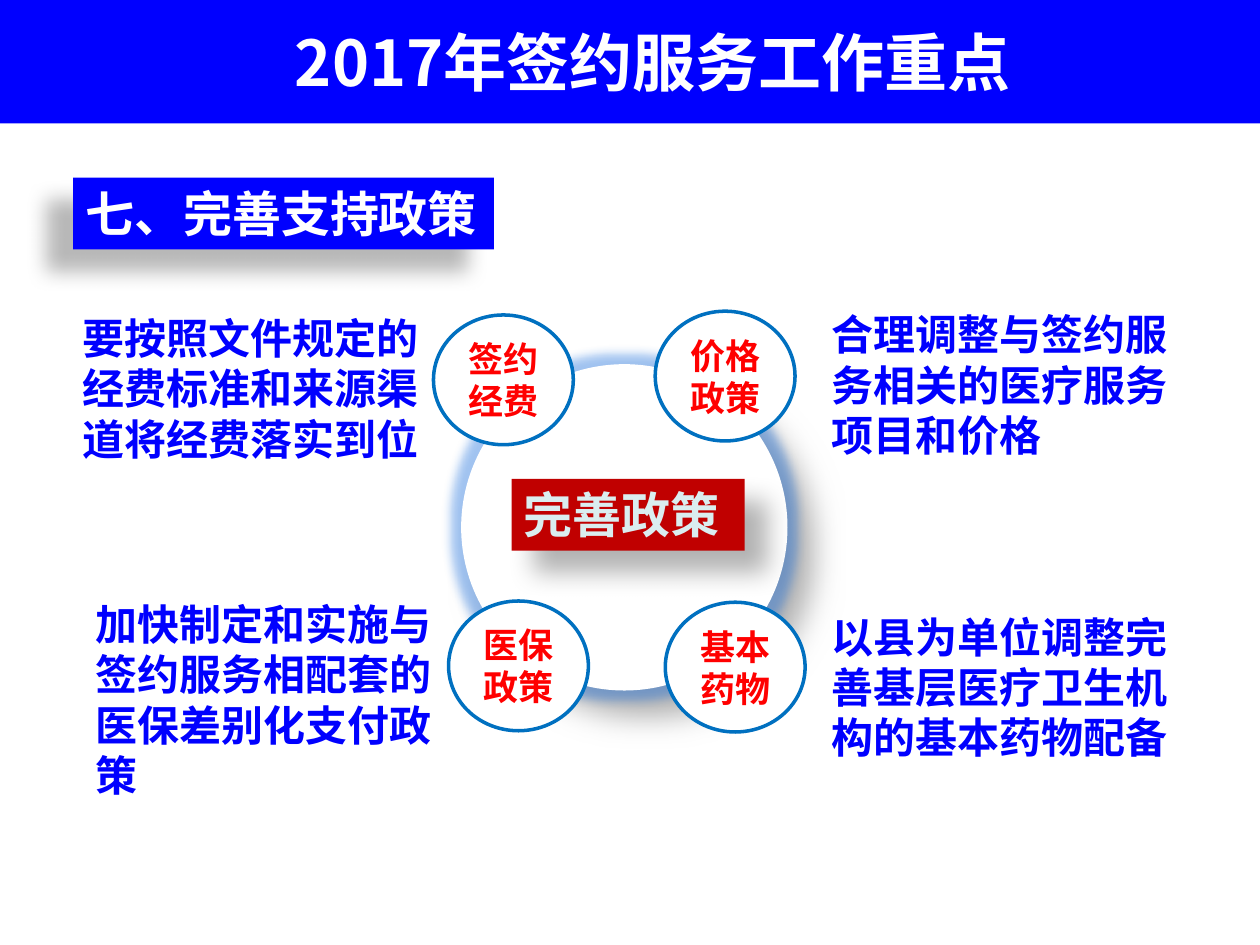
import dataclasses

import pptx
import pptx.util
import pptx.dml.color
import pptx.enum.shapes
import pptx.enum.text
import pptx.oxml
import pptx.oxml.ns
from pptx.util import Inches, Pt

SHAPE = pptx.enum.shapes.MSO_SHAPE
ANCHOR = pptx.enum.text.MSO_ANCHOR
ALIGN = pptx.enum.text.PP_ALIGN
FIT = pptx.enum.text.MSO_AUTO_SIZE


@dataclasses.dataclass(frozen=True)
class Theme:
    """Colours, font and type sizes of the slide."""
    font: str = "Noto Sans CJK SC"
    blue: str = "0000FF"
    white: str = "FFFFFF"
    crimson: str = "C00000"
    pale: str = "DAEDEF"
    red: str = "FF0000"
    outline: str = "0070C0"
    glow: str = "196EDE"
    shadow: str = "000000"
    title: int = 36
    heading: int = 28
    body: int = 24
    label: int = 20


THEME = Theme()


def rgb(value):
    """Return the colour object for a hex string."""
    return pptx.dml.color.RGBColor.from_string(value)


def add_effects(sp, blur, dist, angle, alpha, glow=0):
    """Give a shape an outer shadow and, if asked, a glow."""
    sp_pr = sp.element.spPr
    for old in sp_pr.findall(pptx.oxml.ns.qn("a:effectLst")):
        sp_pr.remove(old)
    glow_xml = (
        f'<a:glow rad="{Pt(glow)}"><a:srgbClr val="{THEME.glow}">'
        '<a:alpha val="40000"/></a:srgbClr></a:glow>' if glow else "")
    sp_pr.append(pptx.oxml.parse_xml(
        f'<a:effectLst {pptx.oxml.ns.nsdecls("a")}>{glow_xml}'
        f'<a:outerShdw blurRad="{Pt(blur)}" dist="{Pt(dist)}" '
        f'dir="{angle * 60000}" algn="ctr" rotWithShape="0">'
        f'<a:srgbClr val="{THEME.shadow}"><a:alpha val="{alpha * 1000}"/></a:srgbClr>'
        '</a:outerShdw></a:effectLst>'))


def add_box(s, kind, box, fill, line=None):
    """Add a filled preset shape without a shadow."""
    sp = s.shapes.add_shape(kind, *map(Inches, box))
    sp.shadow.inherit = False
    sp.fill.solid()
    sp.fill.fore_color.rgb = rgb(fill)
    if line:
        sp.line.color.rgb = rgb(line)
        sp.line.width = Pt(2)
    else:
        sp.line.fill.background()
    return sp


def write(sp, text, size, color, align=ALIGN.LEFT, anchor=ANCHOR.TOP, wrap=True):
    """Write one bold paragraph into a shape."""
    tf = sp.text_frame
    tf.text = text
    tf.word_wrap = wrap
    tf.vertical_anchor = anchor
    p = tf.paragraphs[0]
    p.alignment = align
    font = p.runs[0].font
    font.size, font.bold, font.name = Pt(size), True, THEME.font
    font.color.rgb = rgb(color)
    ea = pptx.oxml.parse_xml(
        f'<a:ea {pptx.oxml.ns.nsdecls("a")} typeface="{THEME.font}"/>')
    p.runs[0].font.element.append(ea) if hasattr(font, "element") else \
        p.runs[0]._r.get_or_add_rPr().append(ea)


def add_title(s, box, text):
    """Draw the title band across the top."""
    sp = add_box(s, SHAPE.RECTANGLE, box, THEME.blue)
    write(sp, text, THEME.title, THEME.white, ALIGN.CENTER, ANCHOR.MIDDLE)
    sp.text_frame.margin_left = Inches(0.46)


def add_heading(s, box, text):
    """Draw the section heading with its shadow to the lower left."""
    sp = add_box(s, SHAPE.RECTANGLE, box, THEME.blue)
    write(sp, text, THEME.heading, THEME.white, wrap=False)
    sp.text_frame.auto_size = FIT.SHAPE_TO_FIT_TEXT
    add_effects(sp, 11.8, 19.7, 141, 28)


def add_hub(s, box, text):
    """Draw the glowing ring and the sign at its centre."""
    left, top, width, _ = box
    ring = add_box(s, SHAPE.FLOWCHART_CONNECTOR, box, THEME.white)
    add_effects(ring, 15, 18, 45, 30, glow=11)
    sign_box = (left + 0.4, top + 0.91, width - 0.74, 0.57)
    sign = add_box(s, SHAPE.RECTANGLE, sign_box, THEME.crimson)
    write(sign, text, THEME.heading, THEME.pale)
    sign.text_frame.auto_size = FIT.SHAPE_TO_FIT_TEXT
    add_effects(sign, 15, 18, 45, 30)


def add_policy(s, spot, label, box, text):
    """Draw one policy: its circle on the ring and its explanation."""
    circle = add_box(s, SHAPE.FLOWCHART_CONNECTOR, (*spot, 1.11, 1.03),
                     THEME.white, THEME.outline)
    write(circle, label, THEME.label, THEME.red, ALIGN.CENTER, ANCHOR.MIDDLE)
    note = s.shapes.add_textbox(*map(Inches, box))
    write(note, text, THEME.body, THEME.blue)
    note.text_frame.auto_size = FIT.SHAPE_TO_FIT_TEXT


def main():
    """Build the slide and save it."""
    prs = pptx.Presentation()
    prs.slide_width, prs.slide_height = Inches(10), Inches(7.5)
    s = prs.slides.add_slide(prs.slide_layouts[6])
    add_hub(s, (3.66, 2.89, 2.59, 2.59), "完善政策")
    policies = [
        ((3.44, 2.5), "签约经费", (0.56, 2.43, 3.07, 1.31),
         "要按照文件规定的经费标准和来源渠道将经费落实到位"),
        ((5.2, 2.47), "价格政策", (6.5, 2.4, 3.16, 1.31),
         "合理调整与签约服务相关的医疗服务项目和价格"),
        ((3.56, 4.77), "医保政策", (0.66, 4.7, 2.95, 1.72),
         "加快制定和实施与签约服务相配套的医保差别化支付政策"),
        ((5.28, 4.78), "基本药物", (6.5, 4.8, 3.16, 1.31),
         "以县为单位调整完善基层医疗卫生机构的基本药物配备"),
    ]
    for policy in policies:
        add_policy(s, *policy)
    add_title(s, (0, 0, 10, 0.98), "2017年签约服务工作重点")
    add_heading(s, (0.58, 1.41, 3.34, 0.57), "七、完善支持政策")
    prs.save("out.pptx")


if __name__ == "__main__":
    main()
